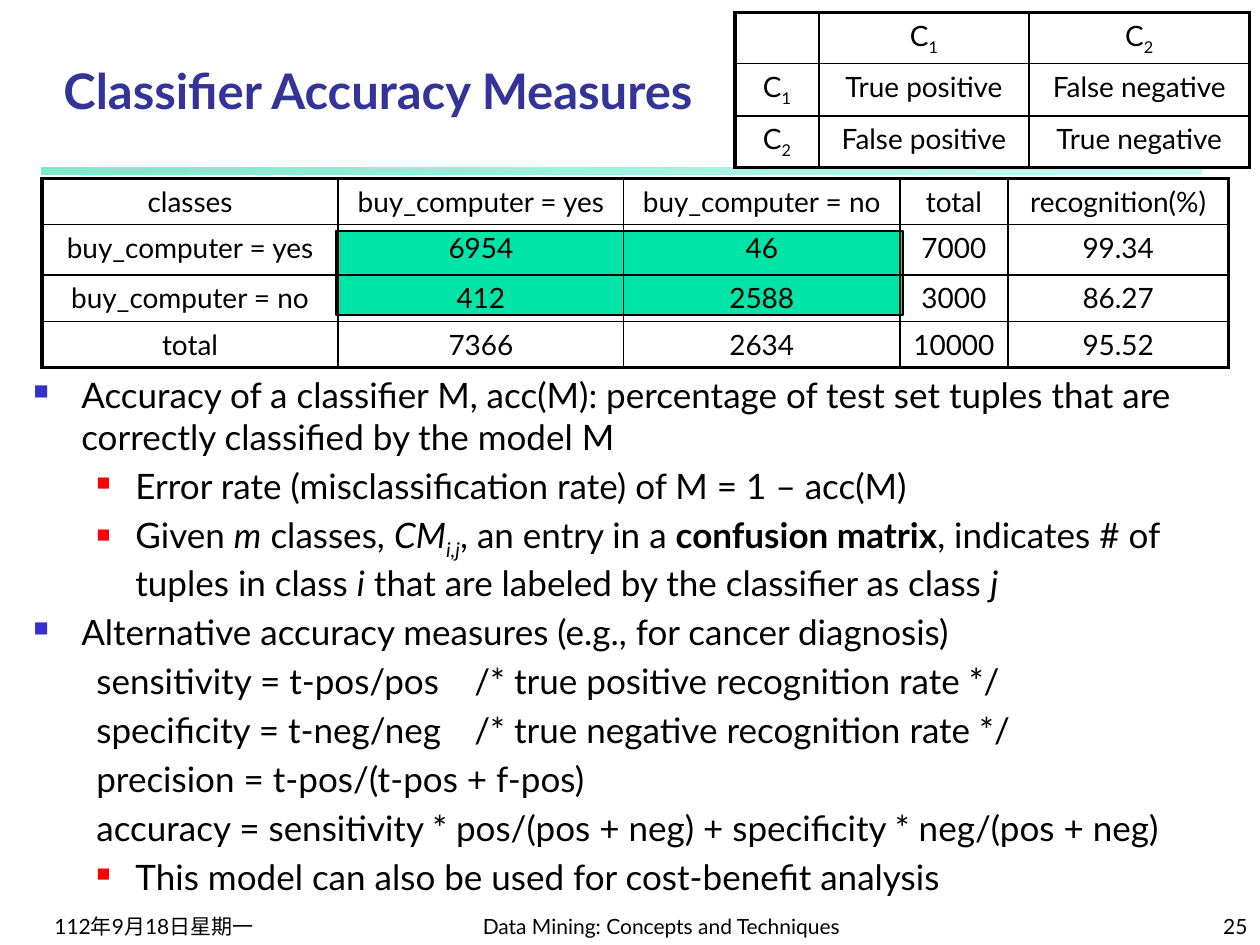
from dataclasses import dataclass

from lxml import etree
from pptx import Presentation
from pptx.dml.color import RGBColor
from pptx.enum.shapes import MSO_SHAPE
from pptx.enum.text import MSO_ANCHOR, PP_ALIGN
from pptx.oxml.ns import qn
from pptx.util import Inches, Pt

RECT = MSO_SHAPE.RECTANGLE
LOW, TOP = MSO_ANCHOR.BOTTOM, MSO_ANCHOR.TOP
LEFT, MID, RIGHT = PP_ALIGN.LEFT, PP_ALIGN.CENTER, PP_ALIGN.RIGHT
COLS, ROWS = 60, 45


@dataclass(frozen=True)
class Theme:
    font: str = "Lato"
    ink: str = "000000"
    head: str = "333399"
    mark: str = "3333CC"
    sub: str = "FF0000"
    cell: str = "00E4A8"
    bar: tuple = (("00CE98", 50), ("8FF9EF", 52))
    big: int = 28
    body: int = 20
    grid: int = 16
    foot: int = 12
    thin: float = 1
    thick: float = 2.25


def node(top, tag, **atts):
    return etree.SubElement(top, qn(tag), **atts)


class Deck:
    def __init__(self, theme):
        self.theme = theme
        self.file = Presentation()
        self.file.slide_width, self.file.slide_height = Inches(10), Inches(7.5)
        self.unit = self.file.slide_width / COLS
        self.slide = self.file.slides.add_slide(self.file.slide_layouts[6])

    def span(self, *vals):
        return [round(val * self.unit) for val in vals]

    def style(self, run, size, tint=None, look=""):
        font = run.font
        font.name, font.size = self.theme.font, Pt(size)
        font.color.rgb = RGBColor.from_string(tint or self.theme.ink)
        font.bold, font.italic = "b" in look, "i" in look
        if "s" in look:
            run._r.get_or_add_rPr().set("baseline", "-25000")

    def fill(self, para, parts, size, tint=None):
        for text, look in parts:
            run = para.add_run()
            run.text = text
            self.style(run, size, tint, look)

    def rect(self, *area):
        shape = self.slide.shapes.add_shape(RECT, *self.span(*area))
        shape.shadow.inherit = False
        return shape

    def band(self, *area):
        shape = self.rect(*area)
        shape.line.fill.background()
        shape.fill.gradient()
        shape.fill.gradient_angle = 0
        for stop, (tint, part) in zip(shape.fill.gradient_stops, self.theme.bar):
            stop.color.rgb = RGBColor.from_string(tint)
        tints = shape._element.spPr.iter(qn("a:srgbClr"))
        for tint, (_, part) in zip(tints, self.theme.bar):
            node(tint, "a:alpha", val=str(part * 1000))

    def panel(self, *area):
        shape = self.rect(*area)
        shape.fill.solid()
        shape.fill.fore_color.rgb = RGBColor.from_string(self.theme.cell)
        shape.line.color.rgb = RGBColor.from_string(self.theme.ink)
        shape.line.width = Pt(0.75)

    def frame(self, area, anchor):
        frame = self.slide.shapes.add_textbox(*self.span(*area)).text_frame
        frame.word_wrap = True
        frame.vertical_anchor = anchor
        return frame

    def label(self, text, area, size, align, tint=None, look=""):
        frame = self.frame(area, LOW)
        frame.text = text
        para = frame.paragraphs[0]
        para.alignment = align
        self.style(para.runs[0], size, tint, look)

    def indent(self, para, left, first):
        props = para._p.get_or_add_pPr()
        props.set("marL", str(Inches(left)))
        props.set("indent", str(Inches(first)))
        return props

    def bullet(self, para, level):
        left, first, tint, size = [
            (0.38, -0.38, self.theme.mark, 60),
            (0.81, -0.31, self.theme.sub, 55),
        ][level]
        props = self.indent(para, left, first)
        node(node(props, "a:buClr"), "a:srgbClr", val=tint)
        node(props, "a:buSzPct", val=str(size * 1000))
        node(props, "a:buChar", char="■")

    def plain(self, para):
        props = self.indent(para, 0, 0.5)
        node(props, "a:buNone")
        node(node(props, "a:tabLst"), "a:tab", pos=str(Inches(4.15)), algn="l")

    def prose(self, items, area):
        frame = self.frame(area, TOP)
        for num, (kind, parts) in enumerate(items):
            para = frame.add_paragraph() if num else frame.paragraphs[0]
            if kind == "plain":
                self.plain(para)
            else:
                self.bullet(para, int(kind == "sub"))
            para.level = int(kind != "main")
            para.space_before = Pt(self.theme.body * 0.2 if num else 0)
            self.fill(para, parts, self.theme.body)

    def edge(self, cell, sides):
        props = cell._tc.get_or_add_tcPr()
        for num, (side, outer) in enumerate(sides):
            wide = self.theme.thick if outer else self.theme.thin
            line = etree.Element(qn("a:ln" + side), w=str(Pt(wide)))
            node(node(line, "a:solidFill"), "a:srgbClr", val=self.theme.ink)
            props.insert(num, line)

    def table(self, data, left, top, wides, highs):
        area = self.span(left, top, sum(wides), sum(highs))
        grid = self.slide.shapes.add_table(len(highs), len(wides), *area).table
        grid.first_row = grid.horz_banding = False
        for col, wide in zip(grid.columns, self.span(*wides)):
            col.width = wide
        for row, high in zip(grid.rows, self.span(*highs)):
            row.height = high
        for y, line in enumerate(data):
            for x, text in enumerate(line):
                cell = grid.cell(y, x)
                cell.fill.background()
                self.edge(cell, [("L", x == 0), ("R", x == len(wides) - 1),
                                 ("T", y == 0), ("B", y == len(highs) - 1)])
                para = cell.text_frame.paragraphs[0]
                para.alignment = MID
                para.font.size = Pt(self.theme.grid)
                parts = [(text, "")] if isinstance(text, str) else text
                self.fill(para, [part for part in parts if part[0]], self.theme.grid)


def main():
    theme = Theme()
    deck = Deck(theme)
    deck.band(2, 8, 55.2, 0.3)
    deck.panel(16, 11, 27, 4)

    low, high = ROWS - 2.5, 2.5
    for text, left, wide, align in [
        ("112年9月18日星期一", 2, 12.5, LEFT),
        ("Data Mining: Concepts and Techniques", 22, 19, MID),
        ("25", 47.5, 12.5, RIGHT),
    ]:
        deck.label(text, (left, low, wide, high), theme.foot, align)
    deck.label("Classifier Accuracy Measures", (0, 2.5, 36, 3.5),
               theme.big, MID, theme.head, "b")

    deck.prose([
        ("main", [("Accuracy of a classifier M, acc(M): percentage of test set "
                   "tuples that are correctly classified by the model M", "")]),
        ("sub", [("Error rate (misclassification rate) of M = 1 – acc(M)", "")]),
        ("sub", [("Given ", ""), ("m", "i"), (" classes, ", ""), ("CM", "i"),
                 ("i,j", "is"), (", an entry in a ", ""), ("confusion matrix", "b"),
                 (", indicates # of tuples in class ", ""), ("i", "i"),
                 (" that are labeled by the classifier as class ", ""), ("j", "i")]),
        ("main", [("Alternative accuracy measures (e.g., for cancer diagnosis)", "")]),
        ("plain", [("sensitivity = t-pos/pos\t/* true positive recognition rate */", "")]),
        ("plain", [("specificity = t-neg/neg\t/* true negative recognition rate */", "")]),
        ("plain", [("precision = t-pos/(t-pos + f-pos)", "")]),
        ("plain", [("accuracy = sensitivity * pos/(pos + neg) + "
                    "specificity * neg/(pos + neg)", "")]),
        ("sub", [("This model can also be used for cost-benefit analysis", "")]),
    ], (1, 17.5, 58, 25))

    yes, no = "buy_computer = yes", "buy_computer = no"
    deck.table([
        ["classes", yes, no, "total", "recognition(%)"],
        [yes, "6954", "46", "7000", "99.34"],
        [no, "412", "2588", "3000", "86.27"],
        ["total", "7366", "2634", "10000", "95.52"],
    ], 2, 8.5, [14.1, 13.6, 13.15, 5.15, 10.5], [2.15, 2.4, 2.2, 2.2])

    one, two = ([("C", ""), (num, "s")] for num in "12")
    deck.table([
        ["", one, two],
        [one, "True positive", "False negative"],
        [two, "False positive", "True negative"],
    ], 35, 0.6, [4, 10, 10.5], [2.4, 2.5, 2.45])
    deck.file.save("out.pptx")


if __name__ == "__main__":
    main()
